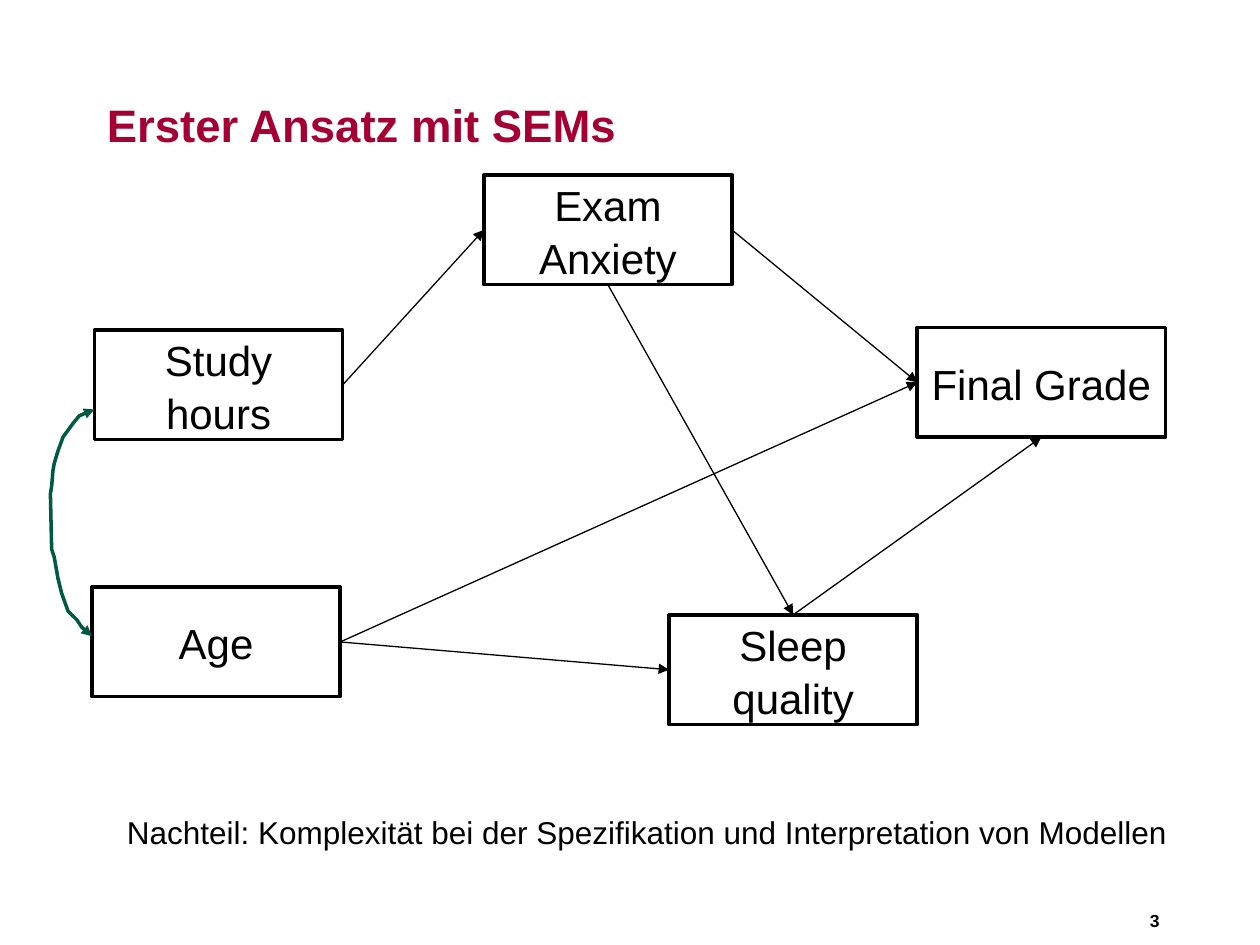
from lxml.etree import SubElement
from pptx import Presentation
from pptx.dml.color import RGBColor
from pptx.enum.shapes import MSO_CONNECTOR, MSO_SHAPE
from pptx.enum.text import MSO_ANCHOR, PP_ALIGN
from pptx.oxml.ns import qn
from pptx.util import Inches, Pt

COLORS = {"title": "A50034", "ink": "000000", "curve": "005943"}
BOX_WIDTH, BOX_HEIGHT = 1.97, 0.87
TOP, LEFT, BOTTOM, RIGHT = range(4)

VARIABLES = {
    "Study hours": (0.75, 2.62),
    "Final Grade": (7.28, 2.6),
    "Exam Anxiety": (3.84, 1.39),
    "Age": (0.73, 4.66),
    "Sleep quality": (5.31, 4.88),
}
EFFECTS = [
    ("Study hours", RIGHT, "Exam Anxiety", LEFT),
    ("Exam Anxiety", RIGHT, "Final Grade", LEFT),
    ("Age", RIGHT, "Final Grade", LEFT),
    ("Age", RIGHT, "Sleep quality", LEFT),
    ("Sleep quality", TOP, "Final Grade", BOTTOM),
    ("Exam Anxiety", BOTTOM, "Sleep quality", TOP),
]
CORRELATION_POINTS = [
    (0.75, 3.25), (0.7, 3.27), (0.63, 3.3), (0.58, 3.36), (0.5, 3.47),
    (0.46, 3.58), (0.43, 3.68), (0.42, 3.74), (0.41, 3.86), (0.4, 3.92),
    (0.41, 4.36), (0.43, 4.42), (0.46, 4.59), (0.49, 4.71), (0.54, 4.85),
    (0.61, 4.92), (0.65, 4.98), (0.73, 5.05),
]


def color(name):
    """Return a palette colour."""
    return RGBColor.from_string(COLORS[name])


def write(shape, text, size, color_name="ink", bold=False,
          align=PP_ALIGN.LEFT, anchor=MSO_ANCHOR.MIDDLE):
    """Put one formatted run into a shape and return its paragraph."""
    frame = shape.text_frame
    frame.word_wrap = True
    frame.vertical_anchor = anchor
    paragraph = frame.paragraphs[0]
    paragraph.alignment = align
    run = paragraph.add_run()
    run.text = text
    run.font.name = "Arial"
    run.font.size = Pt(size)
    run.font.bold = bold
    run.font.color.rgb = color(color_name)
    return paragraph


def add_text(slide, position, text, size, **style):
    """Add a text box."""
    shape = slide.shapes.add_textbox(*map(Inches, position))
    write(shape, text, size, **style)


def style_line(shape, color_name, width, *ends):
    """Set a line's colour and width and put arrowheads on the given ends."""
    shape.line.color.rgb = color(color_name)
    shape.line.width = Pt(width)
    line = shape.line._get_or_add_ln()
    for end in ends:
        SubElement(line, qn(f"a:{end}"), type="triangle")


def add_variable(slide, name, left, top):
    """Add an outlined box for an observed variable."""
    shape = slide.shapes.add_shape(
        MSO_SHAPE.RECTANGLE, *map(Inches, (left, top, BOX_WIDTH, BOX_HEIGHT)))
    shape.shadow.inherit = False
    shape.fill.background()
    style_line(shape, "ink", 2)
    paragraph = write(shape, name, 24, align=PP_ALIGN.CENTER)
    paragraph.line_spacing = 1.05
    return shape


def add_effect(slide, source, source_side, target, target_side):
    """Add an arrow from one variable to another."""
    connector = slide.shapes.add_connector(MSO_CONNECTOR.STRAIGHT, 0, 0, 0, 0)
    connector.begin_connect(source, source_side)
    connector.end_connect(target, target_side)
    style_line(connector, "ink", 0.75, "tailEnd")
    SubElement(connector._element.spPr, qn("a:effectLst"))


def add_correlation(slide, points):
    """Add a curved double arrow through the points."""
    start, *others = [tuple(map(Inches, point)) for point in points]
    builder = slide.shapes.build_freeform(*start)
    builder.add_line_segments(others, close=False)
    shape = builder.convert_to_shape()
    shape.shadow.inherit = False
    shape.fill.background()
    style_line(shape, "curve", 2, "headEnd", "tailEnd")


def main():
    """Build the path model slide."""
    presentation = Presentation()
    presentation.slide_width = Inches(10)
    presentation.slide_height = Inches(7.5)
    slide = presentation.slides.add_slide(presentation.slide_layouts[6])

    add_text(slide, (0.75, 0.67, 8.5, 0.64), "Erster Ansatz mit SEMs", 26,
             color_name="title", bold=True)
    add_text(slide, (6.89, 7.17, 2.41, 0.28), "3", 10, bold=True,
             align=PP_ALIGN.RIGHT, anchor=MSO_ANCHOR.TOP)
    boxes = {name: add_variable(slide, name, *corner)
             for name, corner in VARIABLES.items()}
    for source, source_side, target, target_side in EFFECTS:
        add_effect(slide, boxes[source], source_side, boxes[target], target_side)
    add_correlation(slide, CORRELATION_POINTS)
    add_text(slide, (0.91, 6.28, 8.5, 0.64),
             "Nachteil: Komplexität bei der Spezifikation und Interpretation "
             "von Modellen", 18)
    presentation.save("out.pptx")


if __name__ == "__main__":
    main()
